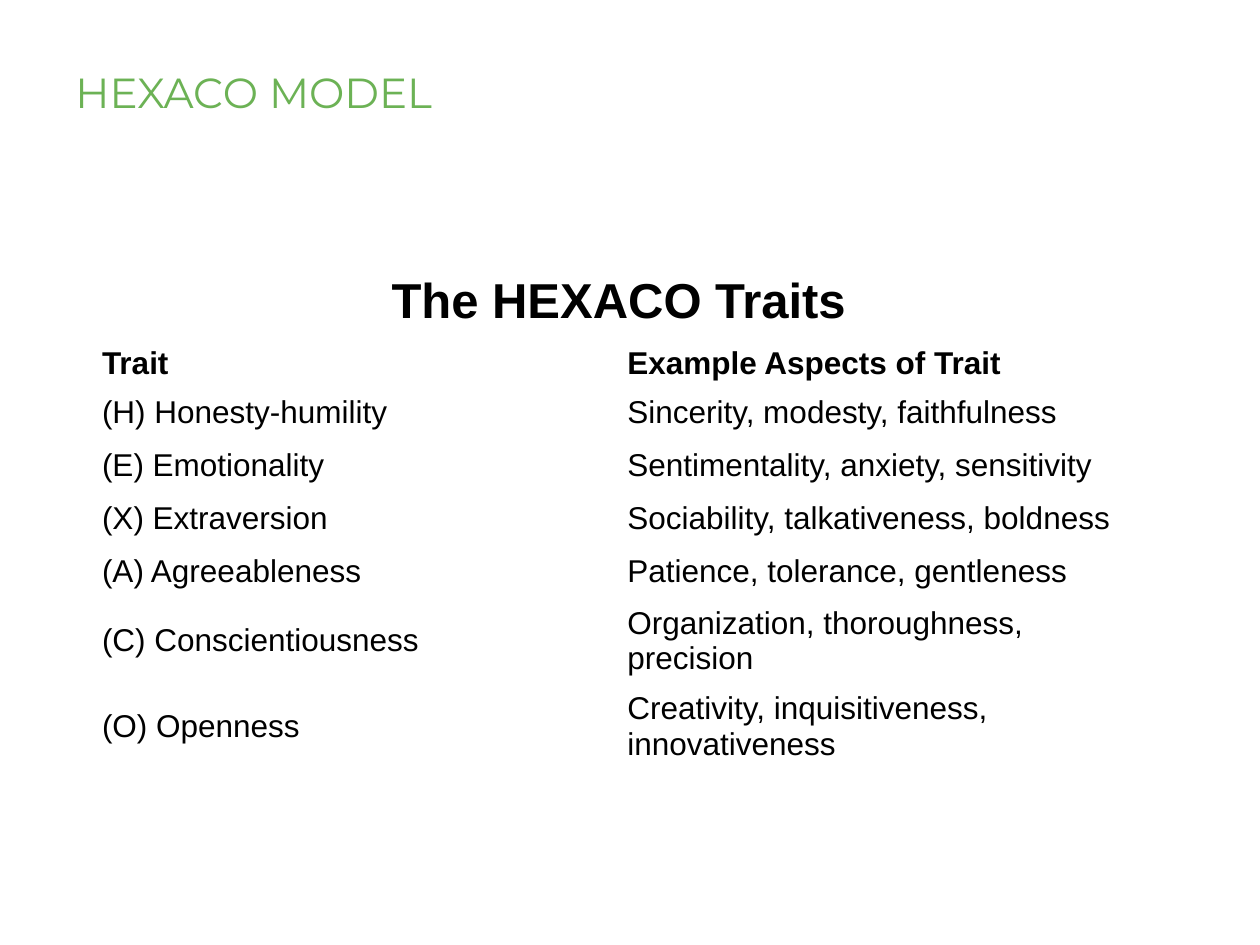
import pptx
import pptx.dml.color
import pptx.enum.text
import pptx.util
from pptx.util import Inches

ANCHOR = pptx.enum.text.MSO_ANCHOR
ALIGN = pptx.enum.text.PP_ALIGN

TABLE_TITLE = "The HEXACO Traits"
HEADINGS = ("Trait", "Example Aspects of Trait")
TRAITS = [
    ("(H) Honesty-humility", "Sincerity, modesty, faithfulness"),
    ("(E) Emotionality", "Sentimentality, anxiety, sensitivity"),
    ("(X) Extraversion", "Sociability, talkativeness, boldness"),
    ("(A) Agreeableness", "Patience, tolerance, gentleness"),
    ("(C) Conscientiousness", "Organization, thoroughness, precision"),
    ("(O) Openness", "Creativity, inquisitiveness, innovativeness"),
]


def color(hex_string):
    return pptx.dml.color.RGBColor.from_string(hex_string)


def style_font(paragraph, name, size, hex_string, bold=False):
    font = paragraph.font
    font.name = name
    font.size = pptx.util.Pt(size)
    font.bold = bold
    font.color.rgb = color(hex_string)


def add_heading(slide, text):
    heading = slide.shapes.add_textbox(Inches(0.5), Inches(0.26), Inches(8.82), Inches(0.72))
    frame = heading.text_frame
    frame.word_wrap = True
    frame.vertical_anchor = ANCHOR.BOTTOM
    frame.text = text
    style_font(frame.paragraphs[0], "Montserrat", 24, "6CB255")


def fill_cell(cell, text, size=18, bold=False, anchor=ANCHOR.MIDDLE, align=ALIGN.LEFT):
    cell.text = text
    cell.fill.background()
    cell.vertical_anchor = anchor
    cell.margin_left = cell.margin_right = Inches(0.07)
    cell.margin_top = cell.margin_bottom = Inches(0.04)
    paragraph = cell.text_frame.paragraphs[0]
    paragraph.alignment = align
    style_font(paragraph, "Arial", size, "000000", bold)


def add_traits_table(slide):
    row_count = len(TRAITS) + 2
    row_height = Inches(0.42)
    traits = slide.shapes.add_table(
        row_count, 2, Inches(0.74), Inches(2.1), Inches(8.34), row_height * row_count
    ).table
    traits.first_row = False
    traits.horz_banding = False
    for row in traits.rows:
        row.height = row_height

    # Title row across both columns
    title = traits.cell(0, 0)
    title.merge(traits.cell(0, 1))
    fill_cell(title, TABLE_TITLE, 28, True, ANCHOR.BOTTOM, ALIGN.CENTER)
    traits.cell(0, 1).fill.background()

    # Column headings, then one row for each trait
    for column, text in enumerate(HEADINGS):
        fill_cell(traits.cell(1, column), text, bold=True, anchor=ANCHOR.BOTTOM)
    for row, entries in enumerate(TRAITS, start=2):
        for column, text in enumerate(entries):
            fill_cell(traits.cell(row, column), text)


def main():
    presentation = pptx.Presentation()
    presentation.slide_width = Inches(10)
    presentation.slide_height = Inches(7.5)
    slide = presentation.slides.add_slide(presentation.slide_layouts[6])
    add_heading(slide, "HEXACO MODEL")
    add_traits_table(slide)
    presentation.save("out.pptx")


if __name__ == "__main__":
    main()
